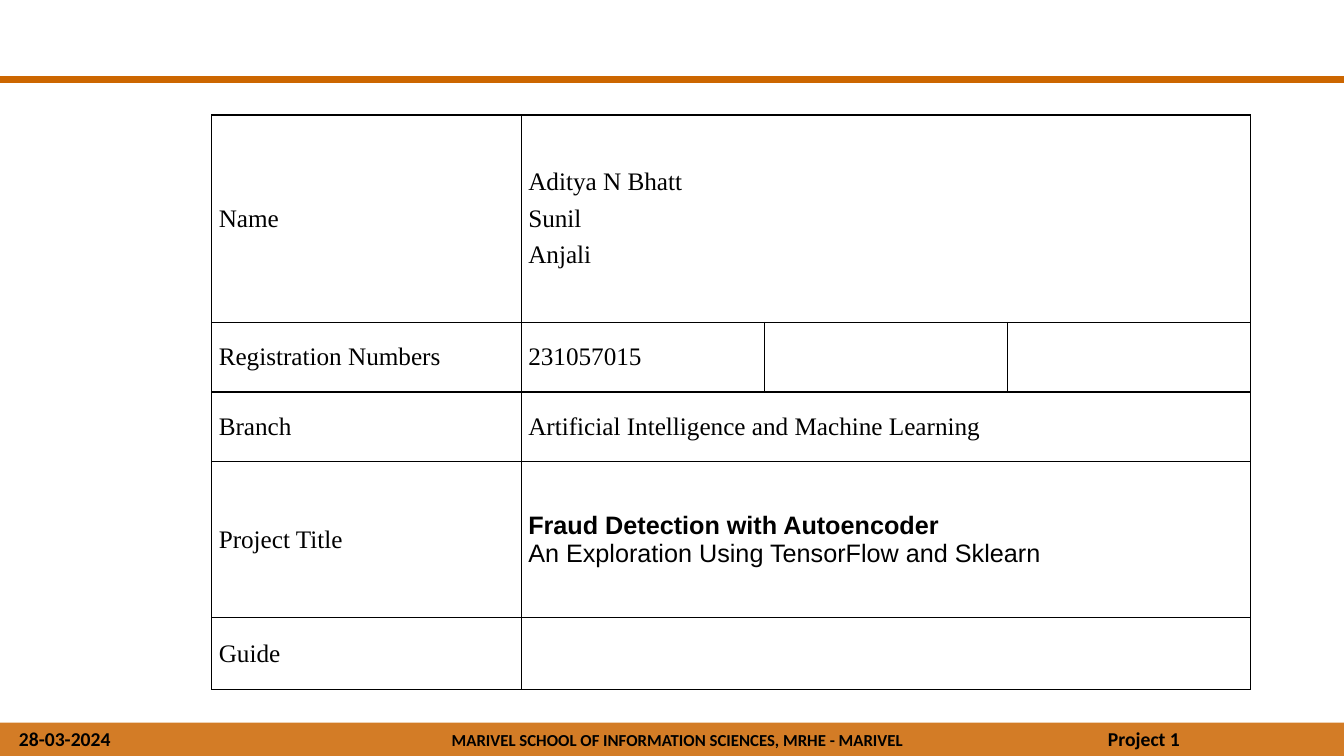
"""Build a project details slide with a table and a footer band."""
from lxml import etree
from pptx import Presentation
from pptx.dml.color import RGBColor
from pptx.enum.shapes import MSO_CONNECTOR, MSO_SHAPE
from pptx.enum.text import MSO_ANCHOR, PP_ALIGN
from pptx.oxml.ns import qn
from pptx.util import Inches, Pt

ORANGE = RGBColor(0xCC, 0x66, 0x00)
BLACK = RGBColor(0, 0, 0)
STRAIGHT = MSO_CONNECTOR.STRAIGHT
RECTANGLE = MSO_SHAPE.RECTANGLE
MIDDLE = MSO_ANCHOR.MIDDLE
LEFT, CENTER = PP_ALIGN.LEFT, PP_ALIGN.CENTER


def style_run(r, font, size, bold=False):
    r.font.name = font
    r.font.size = Pt(size)
    r.font.bold = bold
    r.font.color.rgb = BLACK


def add_borders(cell):
    tc_pr = cell._tc.get_or_add_tcPr()
    for side in ("lnL", "lnR", "lnT", "lnB"):
        ln = etree.SubElement(tc_pr, qn(f"a:{side}"), w=str(Pt(1)))
        fill = etree.SubElement(ln, qn("a:solidFill"))
        etree.SubElement(fill, qn("a:srgbClr"), val=str(BLACK))


prs = Presentation()
prs.slide_width, prs.slide_height = Inches(13.33), Inches(7.5)
s = prs.slides.add_slide(prs.slide_layouts[6])

rule = s.shapes.add_connector(STRAIGHT, 0, Inches(0.79), Inches(13.33), Inches(0.79))
rule.line.color.rgb = ORANGE
rule.line.width = Pt(4.5)
etree.SubElement(rule._element.spPr, qn("a:effectLst"))

band = s.shapes.add_shape(RECTANGLE, 0, Inches(7.17), Inches(13.33), Inches(0.33))
band.shadow.inherit = False
band.fill.solid()
band.fill.fore_color.rgb = ORANGE
color = band._element.spPr.find(qn("a:solidFill"))[0]
etree.SubElement(color, qn("a:alpha"), val="85000")
band.line.fill.background()

footers = [
    ("MARIVEL SCHOOL OF INFORMATION SCIENCES, MRHE - MARIVEL", 3.22, 7.19, 7, 0.31, 12, CENTER),
    ("28-03-2024", 0.09, 7.16, 1.5, 0.34, 14, LEFT),
    ("Project 1", 10.89, 7.16, 2.43, 0.34, 14, LEFT),
]
for text, x, y, w, h, size, align in footers:
    sp = s.shapes.add_textbox(Inches(x), Inches(y), Inches(w), Inches(h))
    tf = sp.text_frame
    tf.word_wrap = True
    tf.text = text
    p = tf.paragraphs[0]
    p.alignment = align
    style_run(p.runs[0], "Calibri", size, True)

details = [
    ("Name", 2.06, ["Aditya N Bhatt\nSunil\nAnjali"]),
    ("Registration Numbers", 0.69, ["231057015", "", ""]),
    ("Branch", 0.69, ["Artificial Intelligence and Machine Learning"]),
    ("Project Title", 1.55,
     ["Fraud Detection with Autoencoder\vAn Exploration Using TensorFlow and Sklearn"]),
    ("Guide", 0.71, [""]),
]
table = s.shapes.add_table(len(details), 4, Inches(2.1), Inches(1.14),
                           Inches(10.3), Inches(5.7)).table
table.first_row = table.horz_banding = False
for column, width in zip(table.columns, (3.07, 2.41, 2.41, 2.41)):
    column.width = Inches(width)

for i, (label, height, values) in enumerate(details):
    table.rows[i].height = Inches(height)
    if len(values) == 1:
        table.cell(i, 1).merge(table.cell(i, 3))
    for j, text in enumerate([label] + values):
        table.cell(i, j).text_frame.text = text

for cell in table.iter_cells():
    add_borders(cell)
    cell.fill.background()
    cell.vertical_anchor = MIDDLE
    cell.margin_left = cell.margin_right = Inches(0.07)
    cell.margin_top = cell.margin_bottom = 0
    for p in cell.text_frame.paragraphs:
        p.space_before = p.space_after = Pt(3.1)
        for r in p.runs:
            style_run(r, "Times New Roman", 18)

p = table.cell(3, 1).text_frame.paragraphs[0]
p.space_before = p.space_after = Pt(0)
for r, bold in zip(p.runs, (True, False)):
    style_run(r, "Arial", 18, bold)

prs.save("out.pptx")
